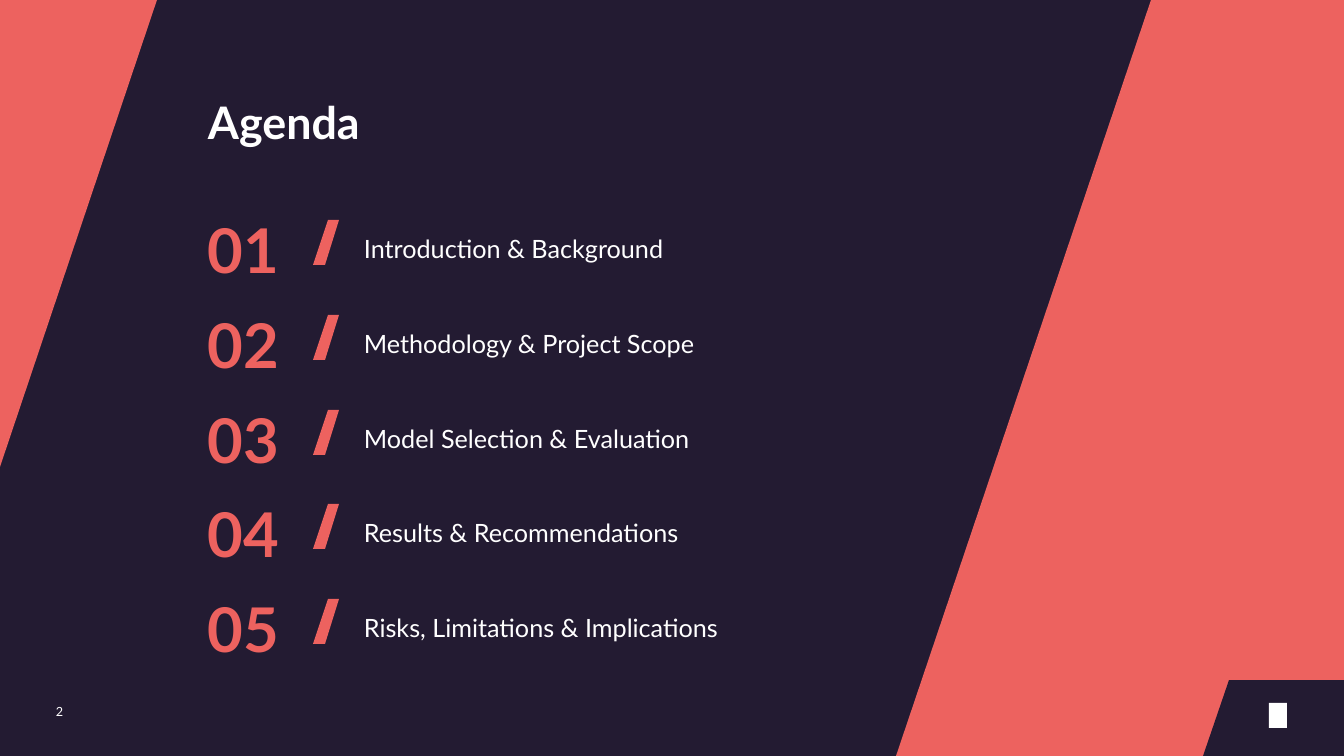
from pptx import Presentation
from pptx.dml.color import RGBColor
from pptx.enum.shapes import MSO_SHAPE
from pptx.enum.text import MSO_ANCHOR
from pptx.util import Pt

PX = 914400 / 100.8  # EMU per pixel
WIDTH, HEIGHT = 1344, 756
FONT = "Lato"
COLORS = {"coral": "ED625F", "navy": "231B32", "white": "FFFFFF"}

TOPICS = [
    "Introduction & Background",
    "Methodology & Project Scope",
    "Model Selection & Evaluation",
    "Results & Recommendations",
    "Risks, Limitations & Implications",
]
ROWS_TOP, ROWS_SPAN = 208, 379  # first row top, distance to the last row


def emu(px):
    return round(px * PX)


def rgb(name):
    return RGBColor.from_string(COLORS[name])


def paint(sp, color):
    sp.shadow.inherit = False
    sp.fill.solid()
    sp.fill.fore_color.rgb = rgb(color)
    sp.line.fill.background()


def add_polygon(s, points, color):
    builder = s.shapes.build_freeform(*points[0], scale=PX)
    builder.add_line_segments(points[1:], close=True)
    paint(builder.convert_to_shape(), color)


def add_text(s, text, x, y, w, h, size=18, color="white", bold=False,
             anchor=MSO_ANCHOR.TOP):
    sp = s.shapes.add_textbox(emu(x), emu(y), emu(w), emu(h))
    tf = sp.text_frame
    tf.word_wrap = True
    tf.vertical_anchor = anchor
    tf.margin_left = tf.margin_top = tf.margin_right = tf.margin_bottom = 0
    r = tf.paragraphs[0].add_run()
    r.text = text
    r.font.name = FONT
    r.font.size = Pt(size)
    r.font.bold = bold
    r.font.color.rgb = rgb(color)


def add_slash(s, x, y):
    add_polygon(s, [(x + 15, y), (x + 26, y), (x + 12, y + 45), (x, y + 45)],
                "coral")


def add_agenda_row(s, number, topic, y):
    add_text(s, f"{number:02d}", 208, y, 112, 81, size=44, color="coral",
             bold=True, anchor=MSO_ANCHOR.MIDDLE)
    add_slash(s, 313, y + 12)
    add_text(s, topic, 364, y + 7, 561, 66, anchor=MSO_ANCHOR.MIDDLE)


def add_backdrop(s):
    s.background.fill.solid()
    s.background.fill.fore_color.rgb = rgb("navy")
    # Right panel, left triangle, corner tab
    add_polygon(s, [(1151, 0), (WIDTH, 0), (WIDTH, HEIGHT), (896, HEIGHT)],
                "coral")
    add_polygon(s, [(0, 0), (157, 0), (0, 467)], "coral")
    add_polygon(s, [(1229, 680), (WIDTH, 680), (WIDTH, HEIGHT),
                    (1203, HEIGHT)], "navy")
    # Plain emblem in the corner tab
    emblem = s.shapes.add_shape(MSO_SHAPE.RECTANGLE, emu(1269), emu(703),
                                emu(18), emu(25))
    paint(emblem, "white")


def main():
    prs = Presentation()
    prs.slide_width, prs.slide_height = emu(WIDTH), emu(HEIGHT)
    s = prs.slides.add_slide(prs.slide_layouts[6])
    add_backdrop(s)

    # Title and agenda rows
    add_text(s, "Agenda", 208, 95, 1080, 54, size=32, bold=True)
    for i, topic in enumerate(TOPICS):
        y = ROWS_TOP + round(i * ROWS_SPAN / (len(TOPICS) - 1))
        add_agenda_row(s, i + 1, topic, y)

    # Page number
    add_text(s, "2", 56, 704, 36, 22, size=9)
    prs.save("out.pptx")


if __name__ == "__main__":
    main()
